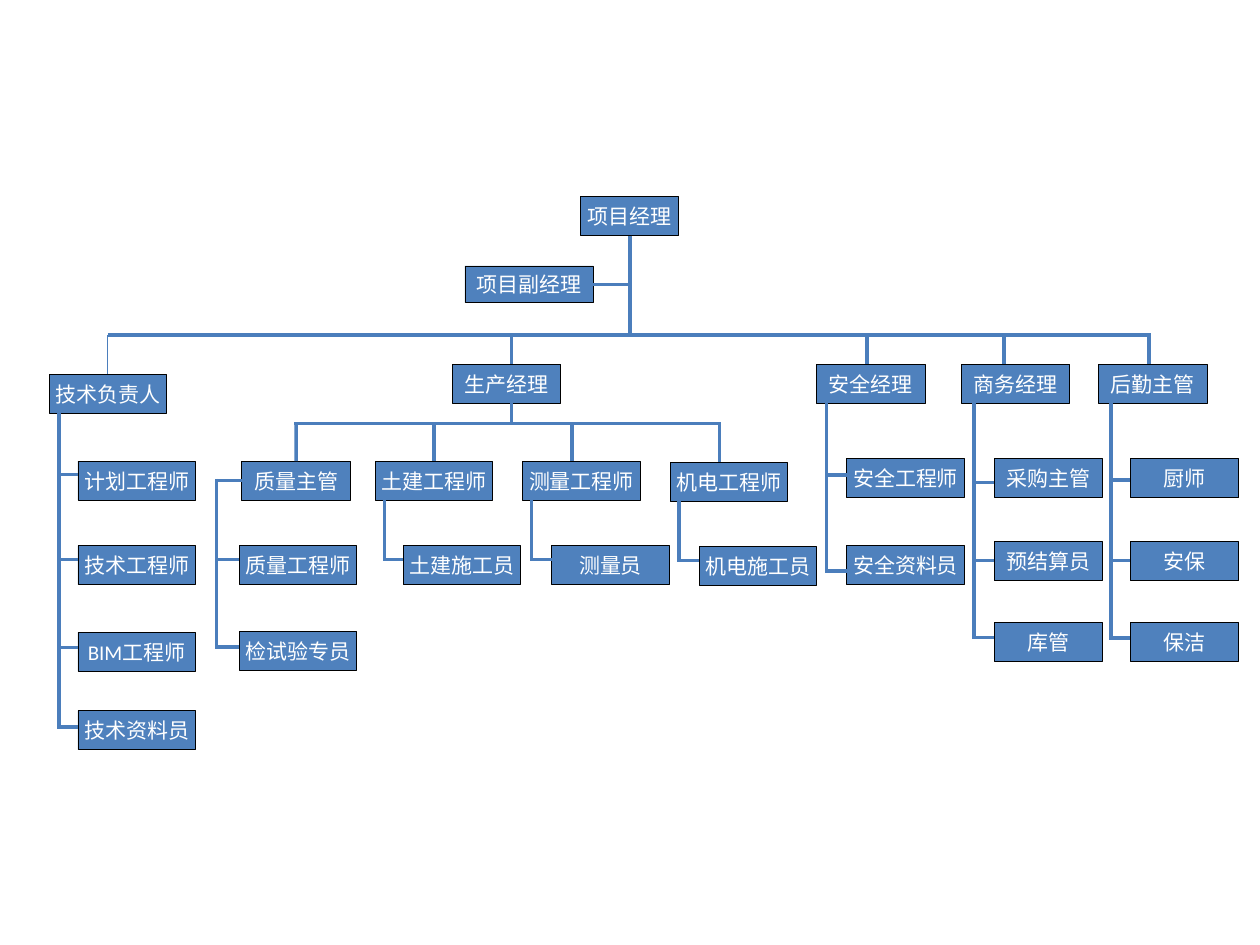
from pptx import Presentation
from pptx.dml.color import RGBColor
from pptx.enum.shapes import MSO_CONNECTOR, MSO_SHAPE
from pptx.enum.text import MSO_ANCHOR, PP_ALIGN
from pptx.oxml.ns import qn
from pptx.util import Pt
from lxml import etree

RECT = MSO_SHAPE.RECTANGLE
STRAIGHT = MSO_CONNECTOR.STRAIGHT
MIDDLE = MSO_ANCHOR.MIDDLE
CENTER = PP_ALIGN.CENTER

TOP, LEFT, BOTTOM, RIGHT = range(4)
FILL, EDGE, LINK, WHITE = "4F81BD", "000000", "4B7EBC", "FFFFFF"
HIGH, WIDE, SLIM = 22.3, 67, 62
BAR, SUB_BAR = 191.5, 242

# Head: name, left, top, width, bar above, drop x, drop weight
# Rail: x, left of reports, width of reports
# Reports: name, top, link y
MAIN_TEAMS = [
    (("技术负责人", 28.1, 213.8, WIDE, BAR, 61.6, 0.75), (33.8, 44.6, WIDE),
     [("计划工程师", 263.5, 271.2), ("技术工程师", 311.8, 319.7),
      ("BIM工程师", 361.4, 370.1), ("技术资料员", 406.1, 415.4)]),
    (("安全经理", 466.6, 208.1, SLIM, BAR, 495.4, 2), (472.3, 484, WIDE),
     [("安全工程师", 262.1, 271.4), ("安全资料员", 311.8, 326.2)]),
    (("商务经理", 549.4, 208.1, SLIM, BAR, 573.8, 2), (556.6, 568.1, SLIM),
     [("采购主管", 262.1, 275.8), ("预结算员", 309.6, 320.4),
      ("库管", 355.7, 364.3)]),
    (("后勤主管", 627.8, 208.1, SLIM, BAR, 656.6, 2), (635, 646, SLIM),
     [("厨师", 262.1, 274.3), ("安保", 309.6, 320.4),
      ("保洁", 355.7, 364.7)]),
]
SITE_TEAMS = [
    (("土建工程师", 214.6, 263.5, WIDE, SUB_BAR, 248.1, 2),
     (219.6, 230.4, WIDE), [("土建施工员", 311.8, 319.7)]),
    (("测量工程师", 298.8, 263.5, WIDE, SUB_BAR, 326.9, 2),
     (303.8, 315.4, WIDE), [("测量员", 311.8, 319.7)]),
    (("机电工程师", 383, 264.2, WIDE, SUB_BAR, 411.1, 2),
     (388.1, 399.6, WIDE), [("机电施工员", 312.5, 320.4)]),
]
QUALITY_HEAD = ("质量主管", 138.2, 263.5, SLIM, SUB_BAR, 169.2, 2)
QUALITY_RAIL = (123.8, 136.8, WIDE)
QUALITY_STAFF = [("质量工程师", 311.8, 319.7), ("检试验专员", 360.7, 369.7)]


def tint(code):
    return RGBColor.from_string(code)


def add_box(slide, name, left, top, width, high=HIGH):
    box = slide.shapes.add_shape(RECT, Pt(left), Pt(top), Pt(width), Pt(high))
    box.shadow.inherit = False
    box.fill.solid()
    box.fill.fore_color.rgb = tint(FILL)
    box.line.color.rgb = tint(EDGE)
    box.line.width = Pt(0.5)
    frame = box.text_frame
    frame.text = name
    frame.word_wrap = True
    frame.vertical_anchor = MIDDLE
    frame.margin_left = frame.margin_right = Pt(3)
    frame.margin_top = frame.margin_bottom = Pt(3)
    para = frame.paragraphs[0]
    para.alignment = CENTER
    font = para.runs[0].font
    font.name, font.size = "Calibri", Pt(12)
    font.color.rgb = tint(WHITE)
    return box


def add_link(slide, x1, y1, x2, y2, weight=2):
    link = slide.shapes.add_connector(STRAIGHT, Pt(x1), Pt(y1), Pt(x2), Pt(y2))
    link.line.color.rgb = tint(LINK)
    link.line.width = Pt(weight)
    etree.SubElement(link._element.spPr, qn("a:effectLst"))
    return link


def add_head(slide, name, left, top, width, bar, x, weight):
    """Add a team's head and the drop from the bar above it."""
    box = add_box(slide, name, left, top, width)
    drop = add_link(slide, x, bar, x, top, weight)
    if abs(x - left - width / 2) < 0.1:
        drop.end_connect(box, TOP)
    return box


def add_staff(slide, start, rail, staff):
    """Add the reports of a head, hung on a rail that begins at start."""
    x, left, width = rail
    add_link(slide, x, start, x, staff[-1][2] + 1)
    for name, top, y in staff:
        add_box(slide, name, left, top, width)
        add_link(slide, x, y, left, y)


def add_lead(slide):
    """Add the project manager, the deputy and the main bar."""
    chief = add_box(slide, "项目经理", 332, 112.3, 56)
    add_link(slide, 360, 134.6, 360, BAR).begin_connect(chief, BOTTOM)
    aide = add_box(slide, "项目副经理", 265.7, 152, 73.4, 21)
    add_link(slide, 339.1, 162.5, 360, 162.5).begin_connect(aide, RIGHT)
    add_link(slide, 61.6, BAR, 657.6, BAR)


def add_works(slide):
    """Add the production manager and the bar over the site teams."""
    add_head(slide, "生产经理", 258.5, 208.1, SLIM, BAR, 292.3, 2)
    add_link(slide, 292.3, 208.1 + HIGH, 292.3, SUB_BAR)
    add_link(slide, 168.2, SUB_BAR, 412.1, SUB_BAR)


def add_check(slide):
    """Add the quality team, whose rail runs to the left of its head."""
    box = add_head(slide, *QUALITY_HEAD)
    x, y = QUALITY_RAIL[0], QUALITY_HEAD[2] + HIGH / 2
    add_link(slide, x, y, QUALITY_HEAD[1], y).end_connect(box, LEFT)
    add_staff(slide, y - 1, QUALITY_RAIL, QUALITY_STAFF)


def main():
    deck = Presentation()
    deck.slide_width, deck.slide_height = Pt(720), Pt(540)
    slide = deck.slides.add_slide(deck.slide_layouts[6])
    add_lead(slide)
    add_works(slide)
    add_check(slide)
    for head, rail, staff in MAIN_TEAMS + SITE_TEAMS:
        add_head(slide, *head)
        add_staff(slide, head[2] + HIGH, rail, staff)
    deck.save("out.pptx")


if __name__ == "__main__":
    main()
